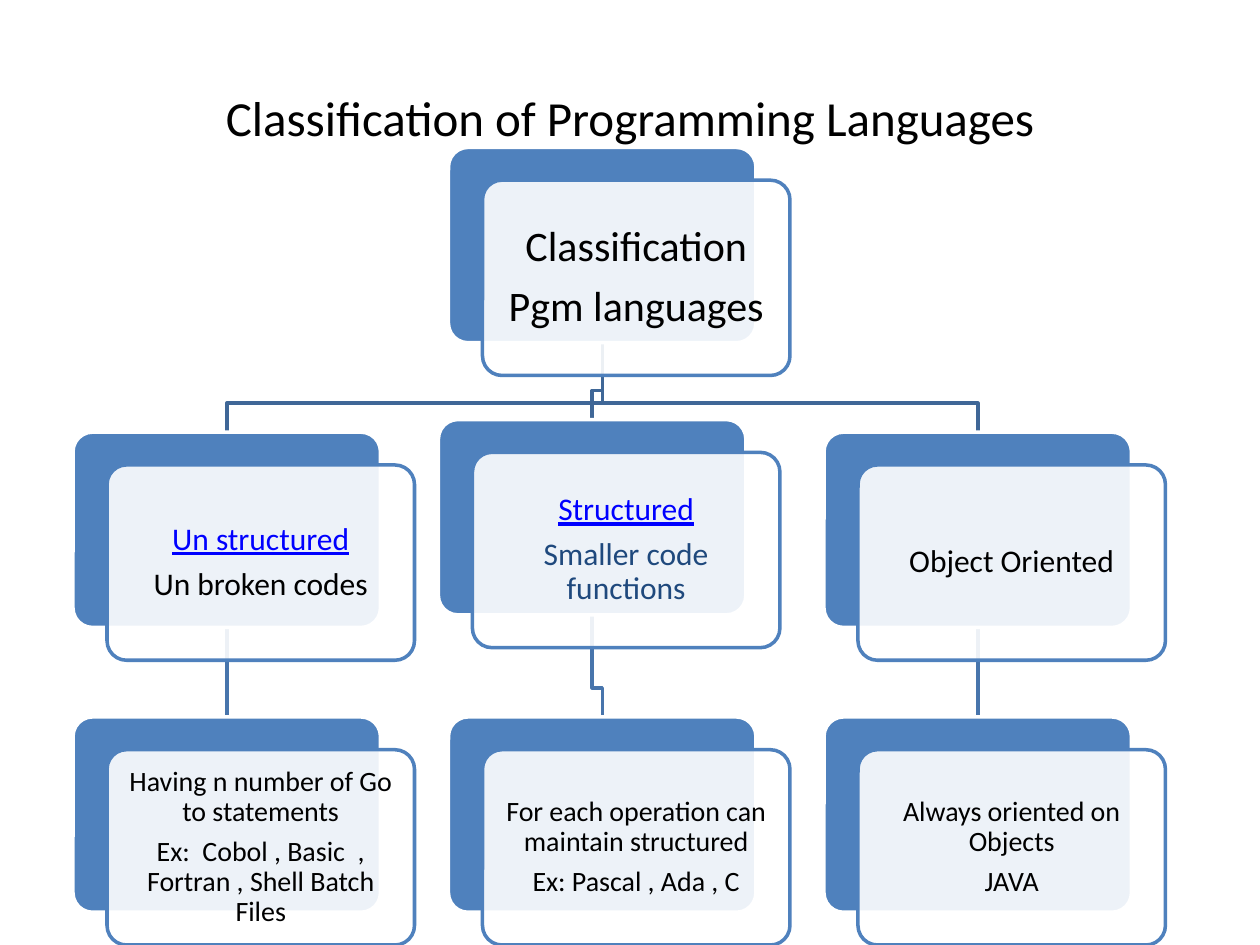
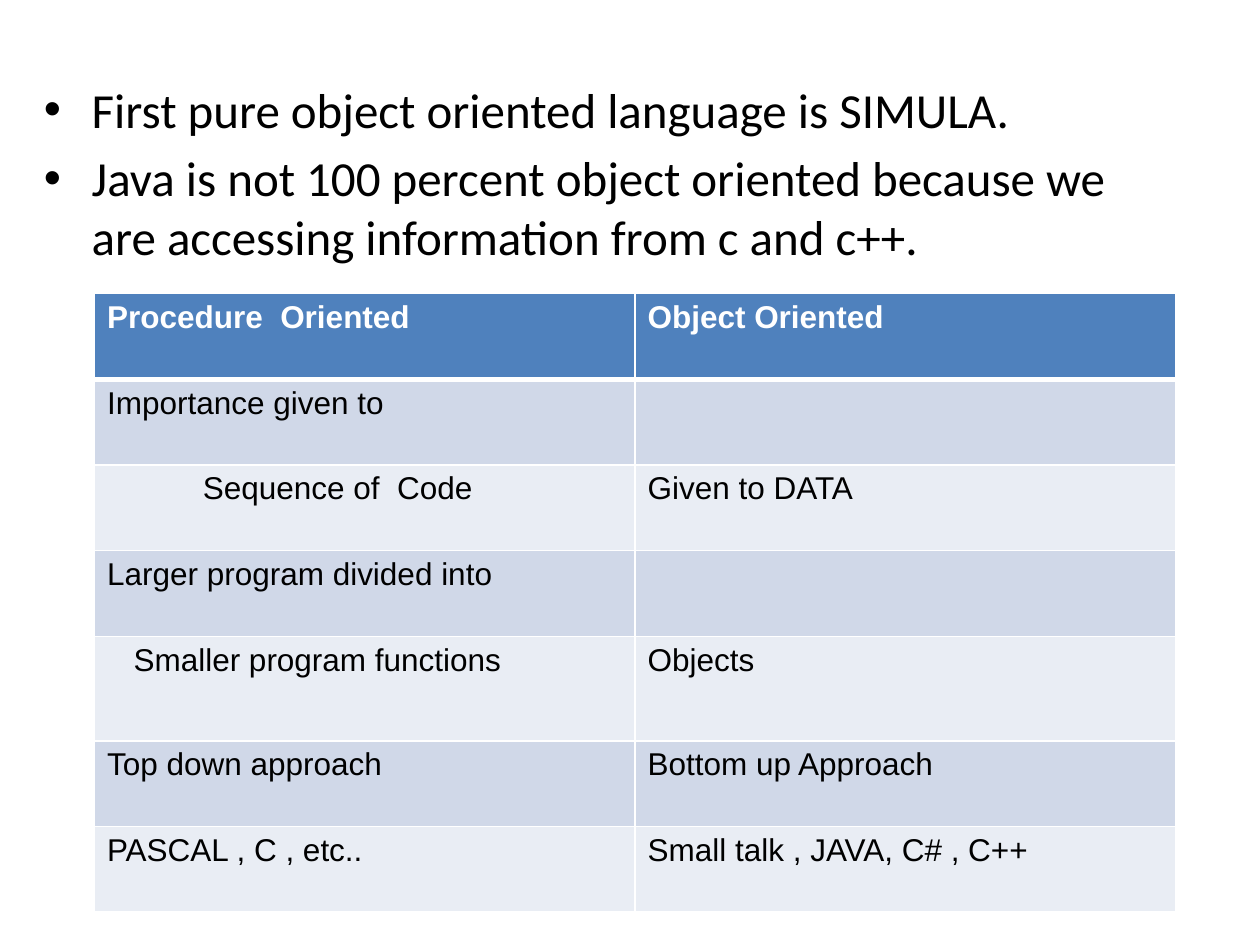
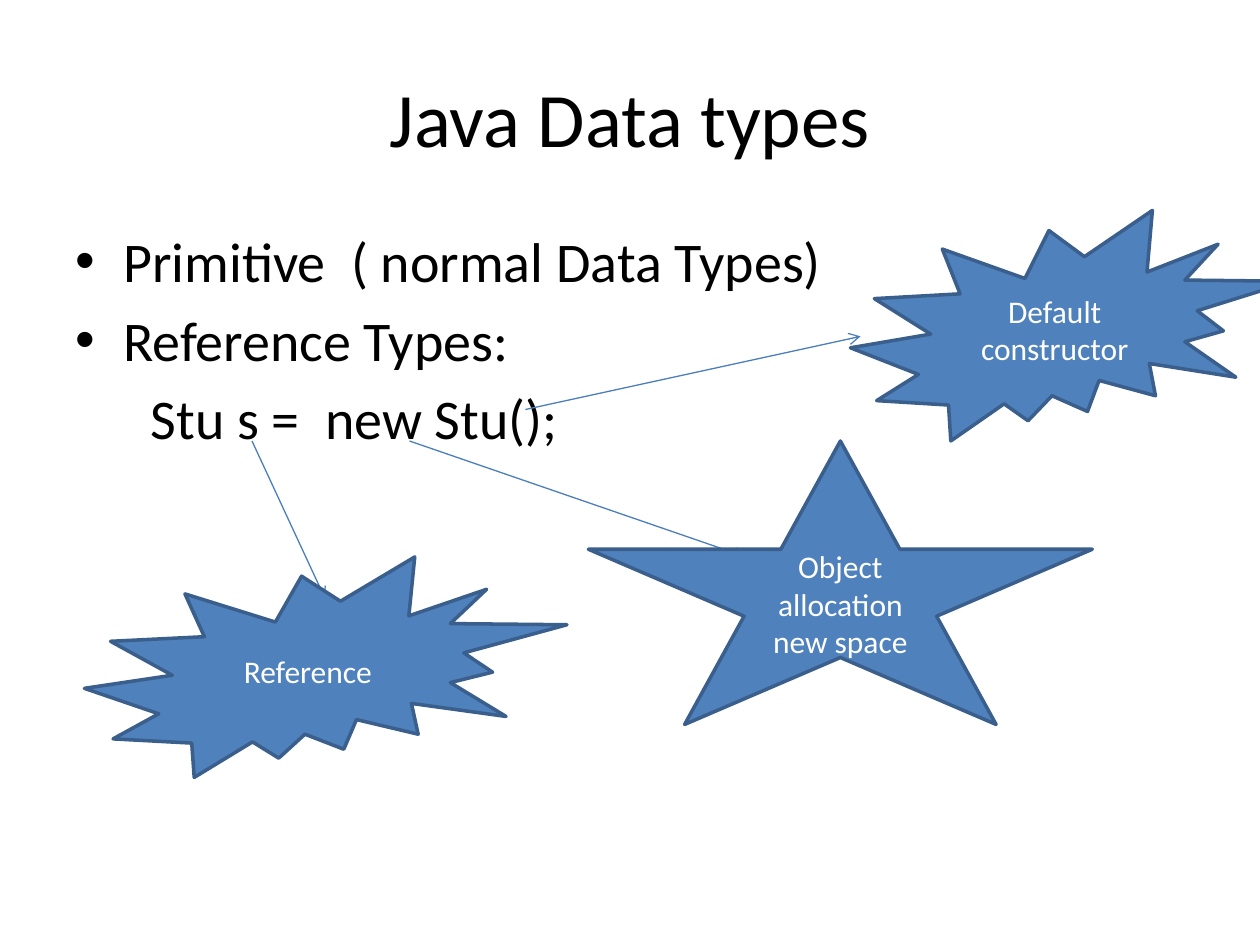
import pptx
import pptx.util
import pptx.dml.color
import pptx.enum.shapes
import pptx.enum.text
import pptx.oxml
import pptx.oxml.ns

Inches = pptx.util.Inches
Pt = pptx.util.Pt
SHAPE = pptx.enum.shapes.MSO_SHAPE
CENTER = pptx.enum.text.PP_ALIGN.CENTER
MIDDLE = pptx.enum.text.MSO_ANCHOR.MIDDLE

COLORS = {
    "text": "000000", "white": "FFFFFF", "blue": "4F81BD", "edge": "3A5F8C",
    "underlined": "0000FF", "navy": "1F497D", "arrow": "4B7EBC",
    "upper link": "3F6797", "lower link": "4875AC",
    "band": "D0D8E8", "light band": "E9EDF4",
}

# Slide 1: each node has left, top, text size, parent and (text, color) lines
TREE_TITLE = "Classification of Programming Languages"
NODES = {
    "root": (3.56, 1.17, 24, None,
             [("Classification", "text"), ("Pgm languages", "text")]),
    "unstructured": (0.58, 3.43, 18, "root",
                     [("Un structured", "underlined"), ("Un broken codes", "text")]),
    "goto": (0.58, 5.69, 16, "unstructured",
             [("Having n number of Go to statements", "text"),
              ("Ex:  Cobol , Basic  , Fortran , Shell Batch Files", "text")]),
    "structured": (3.48, 3.33, 18, "root",
                   [("Structured", "underlined"), ("Smaller code functions", "navy")]),
    "operations": (3.56, 5.69, 16, "structured",
                   [("For each operation can maintain structured", "text"),
                    ("Ex: Pascal , Ada , C", "text")]),
    "object": (6.54, 3.43, 18, "root", [("Object Oriented", "text")]),
    "java": (6.54, 5.69, 16, "object",
             [("Always oriented on Objects", "text"), ("JAVA", "text")]),
}
NODE_WIDTH, NODE_HEIGHT = 2.44, 1.55
PANEL_SHIFT = (0.27, 0.26)
BEND_ABOVE_CHILD = 0.23

# Slide 2
LANGUAGE_POINTS = [
    "First pure object oriented language is SIMULA.",
    "Java is not 100 percent object oriented because we are accessing "
    "information from c and c++.",
]
COMPARISON = [
    ("Procedure  Oriented", "Object Oriented"),
    ("Importance given to", ""),
    ("Sequence of  Code", "Given to DATA"),
    ("Larger program divided into", ""),
    ("Smaller program functions", "Objects"),
    ("Top down approach", "Bottom up Approach"),
    ("PASCAL , C , etc..", "Small talk , JAVA, C# , C++"),
]
ROW_HEIGHT, TALL_ROWS = 0.68, {4: 0.83}
INDENTED_CELLS = {(2, 0): 0.86, (4, 0): 0.31}

# Slide 3: arrow start, arrow end, shape, shape box, label
TYPES_TITLE = "Java Data types"
TYPE_POINTS = ["Primitive  ( normal Data Types)", "Reference Types:"]
TYPE_EXAMPLE = "Stu s =  new Stu();"
CALLOUTS = [
    ((2, 3.5), (2.58, 4.75), SHAPE.EXPLOSION2, (0.67, 4.42, 3.83, 1.75), "Reference"),
    ((3.25, 3.5), (5.92, 4.42), SHAPE.STAR_5_POINT, (4.67, 3.5, 4, 2.25),
     "Object allocation new space"),
    ((4.17, 3.25), (6.83, 2.67), SHAPE.EXPLOSION2, (6.75, 1.67, 3.5, 1.83),
     "Default constructor"),
]


# Shared helpers
def rgb(name):
    return pptx.dml.color.RGBColor.from_string(COLORS[name])


def inches(values):
    return [Inches(value) for value in values]


def add_xml(parent, tag, **attributes):
    child = pptx.oxml.parse_xml(f"<a:{tag} {pptx.oxml.ns.nsdecls('a')}/>")
    for name, value in attributes.items():
        child.set(name, str(value))
    parent.append(child)
    return child


def format_para(para, size, color="text", font="Calibri", bold=False):
    for span in para.runs:
        span.font.size = Pt(size)
        span.font.name = font
        span.font.bold = bold
        span.font.color.rgb = rgb(color)


def set_line(shape, color, width):
    shape.line.color.rgb = rgb(color)
    shape.line.width = Pt(width)


def add_filled(page, kind, place, fill, edge):
    shape = page.shapes.add_shape(kind, *inches(place))
    shape.shadow.inherit = False
    shape.fill.solid()
    shape.fill.fore_color.rgb = rgb(fill)
    set_line(shape, edge, 2)
    shape.text_frame.vertical_anchor = MIDDLE
    return shape


def add_straight(page, start, end, color, width):
    line = page.shapes.add_connector(
        pptx.enum.shapes.MSO_CONNECTOR.STRAIGHT, *inches(start + end))
    set_line(line, color, width)
    add_xml(line._element.spPr, "effectLst")
    return line


def add_title(page, text, size):
    box = page.shapes.add_textbox(*inches((0.5, 0.3, 9, 1.25)))
    box.text_frame.word_wrap = True
    box.text_frame.vertical_anchor = MIDDLE
    box.text_frame.text = text
    para = box.text_frame.paragraphs[0]
    para.alignment = CENTER
    format_para(para, size)


def add_body(page, place, points, size, example=None):
    frame = page.shapes.add_textbox(*inches(place)).text_frame
    frame.word_wrap = True
    lines = points + ([example] if example else [])
    frame.text = "\n".join(lines)
    for para, line in zip(frame.paragraphs, lines):
        para.space_before = Pt(size * 0.2)
        format_para(para, size)
        properties = para._p.get_or_add_pPr()
        if line == example:
            properties.set("marL", str(Inches(0.6)))
        else:
            properties.set("marL", str(Inches(0.38)))
            properties.set("indent", str(Inches(-0.38)))
            add_xml(properties, "buFont", typeface="Arial")
            add_xml(properties, "buChar", char="•")


# Slide 1: tree of classes
def add_node(page, left, top, size, lines):
    size_box = (NODE_WIDTH, NODE_HEIGHT)
    back = add_filled(page, SHAPE.ROUNDED_RECTANGLE, (left, top) + size_box, "blue", "white")
    panel_corner = (left + PANEL_SHIFT[0], top + PANEL_SHIFT[1])
    panel = add_filled(page, SHAPE.ROUNDED_RECTANGLE, panel_corner + size_box, "white", "blue")
    for shape in (back, panel):
        shape.adjustments[0] = 0.1
    add_xml(panel.fill._xPr.solidFill[0], "alpha", val=90000)

    frame = panel.text_frame
    frame.margin_left = frame.margin_right = Inches(0.07)
    frame.margin_top = frame.margin_bottom = Inches(0.07)
    frame.text = "\n".join(text for text, color in lines)
    for para, (text, color) in zip(frame.paragraphs, lines):
        para.alignment = CENTER
        para.line_spacing = 0.9
        para.space_after = Pt(size * 0.35)
        format_para(para, size, color)
        para.runs[0].font.underline = color == "underlined"
    return back


def add_link(page, backs, parent, child):
    color = "upper link" if parent == "root" else "lower link"
    start_x, end_x = (NODES[name][0] + NODE_WIDTH / 2 for name in (parent, child))
    start_y, end_y = NODES[parent][1] + NODE_HEIGHT, NODES[child][1]
    if start_x == end_x:
        link = add_straight(page, (start_x, start_y), (end_x, end_y), color, 2)
        link.begin_connect(backs[parent], 2)
        link.end_connect(backs[child], 0)
    else:
        bend_y = end_y - BEND_ABOVE_CHILD
        outline = page.shapes.build_freeform(Inches(start_x), Inches(start_y))
        corners = [(start_x, bend_y), (end_x, bend_y), (end_x, end_y)]
        outline.add_line_segments([inches(corner) for corner in corners], close=False)
        link = outline.convert_to_shape()
        link.shadow.inherit = False
        link.fill.background()
        set_line(link, color, 2)
    # Links lie behind the nodes
    page.shapes._spTree.insert(2, link._element)


def build_tree(page):
    add_title(page, TREE_TITLE, 28)
    backs = {name: add_node(page, left, top, size, lines)
             for name, (left, top, size, parent, lines) in NODES.items()}
    for name, node in NODES.items():
        if node[3]:
            add_link(page, backs, node[3], name)


# Slide 2: points and comparison table
def set_borders(cell, bottom_width):
    properties = cell._tc.get_or_add_tcPr()
    for tag, width in (("lnL", 1), ("lnR", 1), ("lnT", 1), ("lnB", bottom_width)):
        border = add_xml(properties, tag, w=Pt(width))
        add_xml(add_xml(border, "solidFill"), "srgbClr", val=COLORS["white"])


def build_comparison(page):
    add_body(page, (0.25, 0.58, 9, 5.58), LANGUAGE_POINTS, 28)
    table = page.shapes.add_table(
        len(COMPARISON), 2, *inches((0.75, 2.33, 8.58, 4.92))).table
    for row_index, texts in enumerate(COMPARISON):
        table.rows[row_index].height = Inches(TALL_ROWS.get(row_index, ROW_HEIGHT))
        header = row_index == 0
        fill = "blue" if header else "band" if row_index % 2 else "light band"
        for column_index, text in enumerate(texts):
            cell = table.cell(row_index, column_index)
            set_borders(cell, 3 if header else 1)
            cell.fill.solid()
            cell.fill.fore_color.rgb = rgb(fill)
            cell.margin_left = Inches(INDENTED_CELLS.get((row_index, column_index), 0.1))
            cell.text_frame.text = text
            format_para(cell.text_frame.paragraphs[0], 18,
                        "white" if header else "text", "Arial", header)


# Slide 3: data types with callouts
def build_types(page):
    add_title(page, TYPES_TITLE, 44)
    add_body(page, (0.5, 1.75, 9, 4.95), TYPE_POINTS, 32, TYPE_EXAMPLE)
    for start, end, kind, place, label in CALLOUTS:
        arrow = add_straight(page, start, end, "arrow", 0.75)
        add_xml(arrow.line._get_or_add_ln(), "tailEnd", type="arrow")
        callout = add_filled(page, kind, place, "blue", "edge")
        callout.text_frame.text = label
        para = callout.text_frame.paragraphs[0]
        para.alignment = CENTER
        format_para(para, 18, "white")


def main():
    deck = pptx.Presentation()
    deck.slide_width, deck.slide_height = Inches(10), Inches(7.5)
    for build in (build_tree, build_comparison, build_types):
        build(deck.slides.add_slide(deck.slide_layouts[6]))
    deck.save("out.pptx")


if __name__ == "__main__":
    main()
